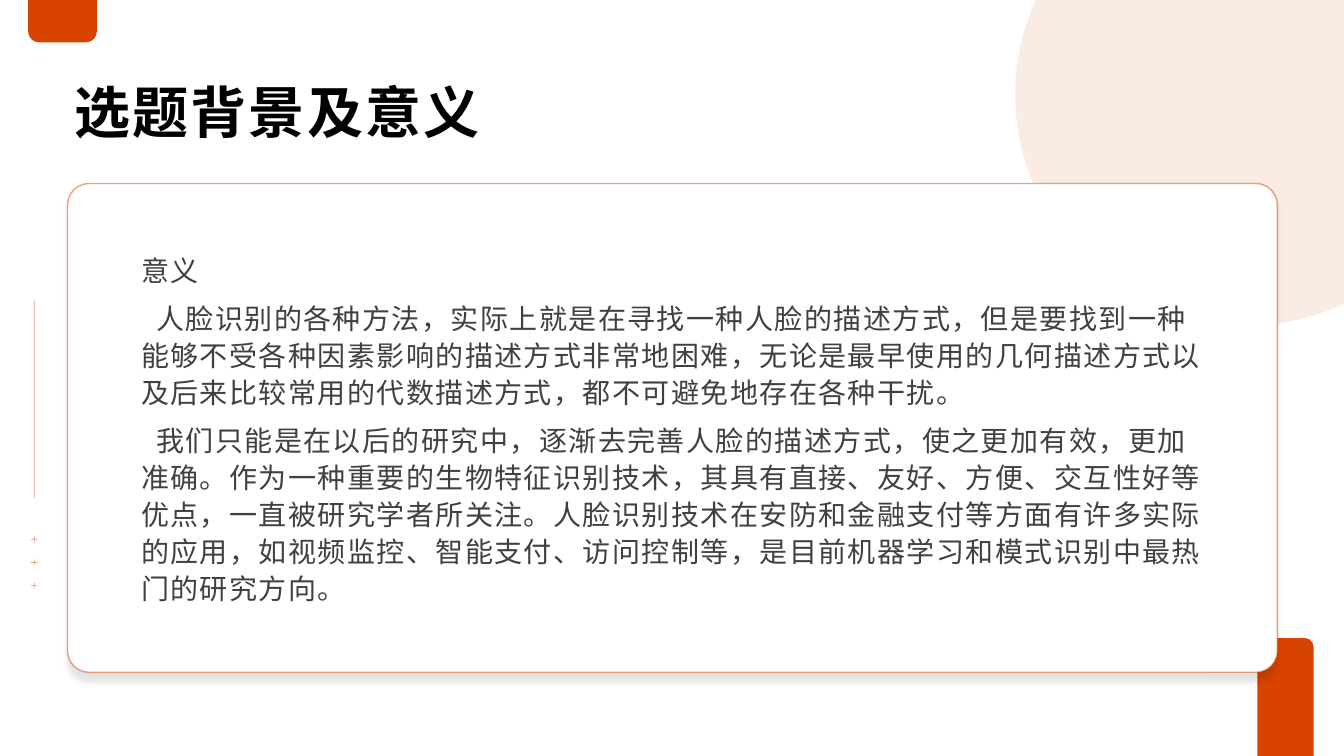
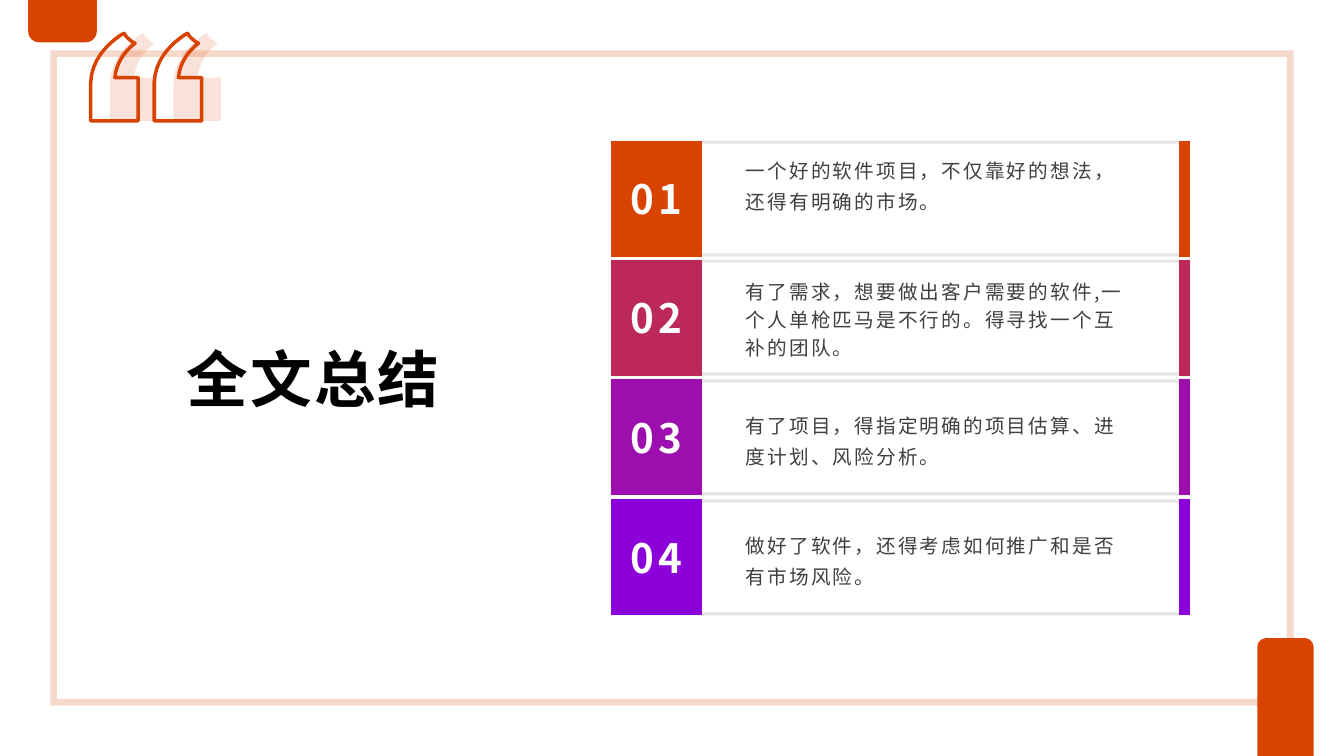
import math
from dataclasses import dataclass

import lxml.etree
import pptx
import pptx.dml.color
import pptx.enum.shapes
import pptx.enum.text
import pptx.oxml.ns
import pptx.util

PX = 9144  # 100 px to the inch
SLIDE_WIDTH, SLIDE_HEIGHT = 1333, 750

SHAPE = pptx.enum.shapes.MSO_SHAPE
ALIGN = pptx.enum.text.PP_ALIGN
qn = pptx.oxml.ns.qn


@dataclass(frozen=True)
class Theme:
    font: str = "Noto Sans CJK SC"
    accent: str = "D94300"
    steps: tuple = ("D94300", "BC2958", "9D0EAF", "8C00D9")
    black: str = "000000"
    white: str = "FFFFFF"
    body: str = "404040"
    title_size: float = 40
    closing_size: float = 44
    body_size: float = 20
    number_size: float = 28.8
    step_size: float = 14


THEME = Theme()


def emu(*lengths):
    return [round(length * PX) for length in lengths]


def add_element(parent, tag, **attributes):
    values = {name: str(value) for name, value in attributes.items()}
    return lxml.etree.SubElement(parent, qn(tag), values)


def set_alpha(parent, percent):
    """Make the solid fill directly inside parent partly transparent."""
    if percent < 100:
        color = parent.find(qn("a:solidFill")).find(qn("a:srgbClr"))
        add_element(color, "a:alpha", val=percent * 1000)


def bezier(start, control_1, control_2, end, steps=12):
    """Points on a cubic curve, without its start."""
    points = []
    for step in range(1, steps + 1):
        t = step / steps
        weights = ((1 - t) ** 3, 3 * t * (1 - t) ** 2, 3 * t * t * (1 - t), t ** 3)
        corners = (start, control_1, control_2, end)
        points.append(tuple(sum(w * c[axis] for w, c in zip(weights, corners))
                            for axis in (0, 1)))
    return points


def clipped_circle(center_x, center_y, radius, steps=90):
    """The part of a circle that lies inside the top right slide corner."""
    first = math.pi + math.asin(center_y / radius)
    last = math.acos((SLIDE_WIDTH - center_x) / radius)
    angles = [first + (last - first) * step / steps for step in range(steps + 1)]
    arc = [(center_x + radius * math.cos(a), center_y + radius * math.sin(a))
           for a in angles]
    return arc + [(SLIDE_WIDTH, 0)]


def quote_mark(left, top):
    points = [(33, 0), (35, 3),
              *bezier((35, 3), (37, 5), (39, 7), (42, 9)), (44, 10),
              *bezier((44, 10), (44, 10), (26, 22), (24, 44)),
              (47, 44), (47, 87), (0, 87), (0, 49),
              *bezier((0, 49), (1, 17), (33, 0), (33, 0))]
    return [(left + x, top + y) for x, y in points]


class Deck:
    def __init__(self, theme):
        self.theme = theme
        self.presentation = pptx.Presentation()
        self.presentation.slide_width, self.presentation.slide_height = emu(
            SLIDE_WIDTH, SLIDE_HEIGHT)
        self.slide = None

    def start_slide(self):
        """Add a slide with the two corner tabs."""
        layout = self.presentation.slide_layouts.get_by_name("Title Only")
        self.slide = self.presentation.slides.add_slide(layout)
        for box, adjustments in (((28, 0, 68, 42), (0, 0.26)),
                                 ((1247, 633, 56, 117), (0.16, 0))):
            self.shape(SHAPE.ROUND_2_SAME_RECTANGLE, box, adjustments,
                       fill=self.theme.accent)

    def style(self, shape, fill=None, fill_alpha=100, line=None, width=1,
              line_alpha=100, miter=False):
        shape.shadow.inherit = False
        properties = shape.element.spPr
        if fill:
            shape.fill.solid()
            shape.fill.fore_color.rgb = pptx.dml.color.RGBColor.from_string(fill)
            set_alpha(properties, fill_alpha)
        else:
            shape.fill.background()
        if line:
            self.outline(shape, line, width, line_alpha)
            if miter:
                add_element(properties.find(qn("a:ln")), "a:miter", lim=800000)
        else:
            shape.line.fill.background()
        return shape

    def outline(self, shape, color, width, alpha):
        shape.line.color.rgb = pptx.dml.color.RGBColor.from_string(color)
        shape.line.width = pptx.util.Pt(width)
        set_alpha(shape.element.spPr.find(qn("a:ln")), alpha)

    def shape(self, kind, box, adjustments=(), **style):
        shape = self.slide.shapes.add_shape(kind, *emu(*box))
        for index, value in enumerate(adjustments):
            shape.adjustments[index] = value
        return self.style(shape, **style)

    def freeform(self, contours, **style):
        first, *others = [[emu(*point) for point in contour] for contour in contours]
        builder = self.slide.shapes.build_freeform(*first[0], scale=1.0)
        builder.add_line_segments(first[1:], close=True)
        for contour in others:
            builder.move_to(*contour[0])
            builder.add_line_segments(contour[1:], close=True)
        return self.style(builder.convert_to_shape(), **style)

    def line(self, *ends):
        connector = self.slide.shapes.add_connector(
            pptx.enum.shapes.MSO_CONNECTOR.STRAIGHT, *emu(*ends))
        self.outline(connector, self.theme.accent, 0.5, 50)
        add_element(connector.element.spPr, "a:effectLst")

    def drop_shadow(self, shape, blur, distance, alpha):
        effects = shape.element.spPr.find(qn("a:effectLst"))
        shadow = add_element(effects, "a:outerShdw", blurRad=pptx.util.Pt(blur),
                             dist=pptx.util.Pt(distance), dir=90 * 60000,
                             algn="t", rotWithShape=0)
        color = add_element(shadow, "a:srgbClr", val=self.theme.black)
        add_element(color, "a:alpha", val=alpha * 1000)

    def set_text(self, shape, paragraphs, size, color, spacing, bold=False,
                 align=ALIGN.LEFT, insets=(10, 5), line_spacing=1.0, space_after=0,
                 indent=0):
        """Fill a shape with text; indent is for paragraphs after the first."""
        frame = shape.text_frame
        frame.word_wrap = True
        frame.auto_size = pptx.enum.text.MSO_AUTO_SIZE.NONE
        frame.vertical_anchor = pptx.enum.text.MSO_ANCHOR.MIDDLE
        frame.margin_left = frame.margin_right = insets[0] * PX
        frame.margin_top = frame.margin_bottom = insets[1] * PX
        frame.text = "\n".join(paragraphs)
        for index, paragraph in enumerate(frame.paragraphs):
            paragraph.alignment = align
            paragraph.line_spacing = line_spacing
            paragraph.space_after = pptx.util.Pt(space_after)
            if index and indent:
                paragraph._p.get_or_add_pPr().set("indent", str(indent * PX))
            for run in paragraph.runs:
                run.font.size = pptx.util.Pt(size)
                run.font.bold = bold
                run.font.color.rgb = pptx.dml.color.RGBColor.from_string(color)
                run.font.name = self.theme.font
                properties = run._r.get_or_add_rPr()
                properties.set("spc", str(round(spacing * 100)))
                add_element(properties, "a:ea", typeface=self.theme.font)

    def title(self, text, box, size, align=ALIGN.LEFT):
        title = self.slide.shapes.title
        title.left, title.top, title.width, title.height = emu(*box)
        self.set_text(title, [text], size, self.theme.black, 1.6, bold=True,
                      align=align, insets=(7, 3))

    def text(self, paragraphs, box, size, spacing, **style):
        textbox = self.slide.shapes.add_textbox(*emu(*box))
        self.set_text(textbox, paragraphs, size, self.theme.body, spacing, **style)

    def step(self, number, top, text, color, line_spacing, lift):
        """A numbered row: outline, number tile, end bar and text."""
        height = 112
        self.shape(SHAPE.RECTANGLE, (608, top, 571, height), line=self.theme.black,
                   width=2.25, line_alpha=10, miter=True)
        tile, _ = [self.shape(SHAPE.RECTANGLE, (left, top, width, height), fill=color,
                              line=color, width=2.25, miter=True)
                   for left, width in ((608, 87), (1171, 8))]
        self.set_text(tile, [f"{number:02}"], self.theme.number_size,
                      self.theme.white, 3, bold=True, align=ALIGN.CENTER)
        self.text([text], (730, top + 6 - lift, 400, 100), self.theme.step_size, 1.5,
                  line_spacing=line_spacing)


def add_background_slide(deck):
    theme = deck.theme
    deck.start_slide()
    deck.freeform([clipped_circle(1236, 94, 229)], fill=theme.accent, fill_alpha=10)
    deck.line(34, 298, 34, 494)
    for y in range(535, 582, 23):
        deck.line(34, y - 3, 34, y + 3)
        deck.line(31, y, 37, y)
    card = deck.shape(SHAPE.ROUNDED_RECTANGLE, (67, 182, 1200, 485), (0.044,),
                      fill=theme.white, line=theme.accent, line_alpha=50)
    deck.drop_shadow(card, blur=4, distance=6, alpha=11)
    deck.title("选题背景及意义", (67, 72, 950, 77), theme.title_size)
    deck.text([
        "意义",
        "人脸识别的各种方法，实际上就是在寻找一种人脸的描述方式，但是要找到一种"
        "能够不受各种因素影响的描述方式非常地困难，无论是最早使用的几何描述方式以"
        "及后来比较常用的代数描述方式，都不可避免地存在各种干扰。",
        "我们只能是在以后的研究中，逐渐去完善人脸的描述方式，使之更加有效，更加"
        "准确。作为一种重要的生物特征识别技术，其具有直接、友好、方便、交互性好等"
        "优点，一直被研究学者所关注。人脸识别技术在安防和金融支付等方面有许多实际"
        "的应用，如视频监控、智能支付、访问控制等，是目前机器学习和模式识别中最热"
        "门的研究方向。",
    ], (133, 232, 1067, 385), theme.body_size, 1, insets=(7, 3), line_spacing=1.1,
        space_after=8, indent=15)


def add_summary_slide(deck):
    theme = deck.theme
    deck.start_slide()
    deck.shape(SHAPE.FRAME, (50, 50, 1233, 650), (0.01,), fill=theme.accent,
               fill_alpha=20)
    for left, style in ((109, {"fill": theme.accent, "fill_alpha": 15}),
                        (90, {"line": theme.accent, "width": 2.5})):
        deck.freeform([quote_mark(left + offset, 33) for offset in (0, 63)], **style)
    deck.title("全文总结", (150, 300, 321, 150), theme.closing_size, ALIGN.CENTER)
    steps = (
        ("一个好的软件项目，不仅靠好的想法，还得有明确的市场。", 1.3, 16),
        ("有了需求，想要做出客户需要的软件,一个人单枪匹马是不行的。"
         "得寻找一个互补的团队。", 1.2, 0),
        ("有了项目，得指定明确的项目估算、进度计划、风险分析。", 1.3, 0),
        ("做好了软件，还得考虑如何推广和是否有市场风险。", 1.3, 0),
    )
    for index, (text, line_spacing, lift) in enumerate(steps):
        deck.step(index + 1, 141 + index * 356 // 3, text, theme.steps[index],
                  line_spacing, lift)


def main():
    deck = Deck(THEME)
    add_background_slide(deck)
    add_summary_slide(deck)
    deck.presentation.save("out.pptx")


if __name__ == "__main__":
    main()
